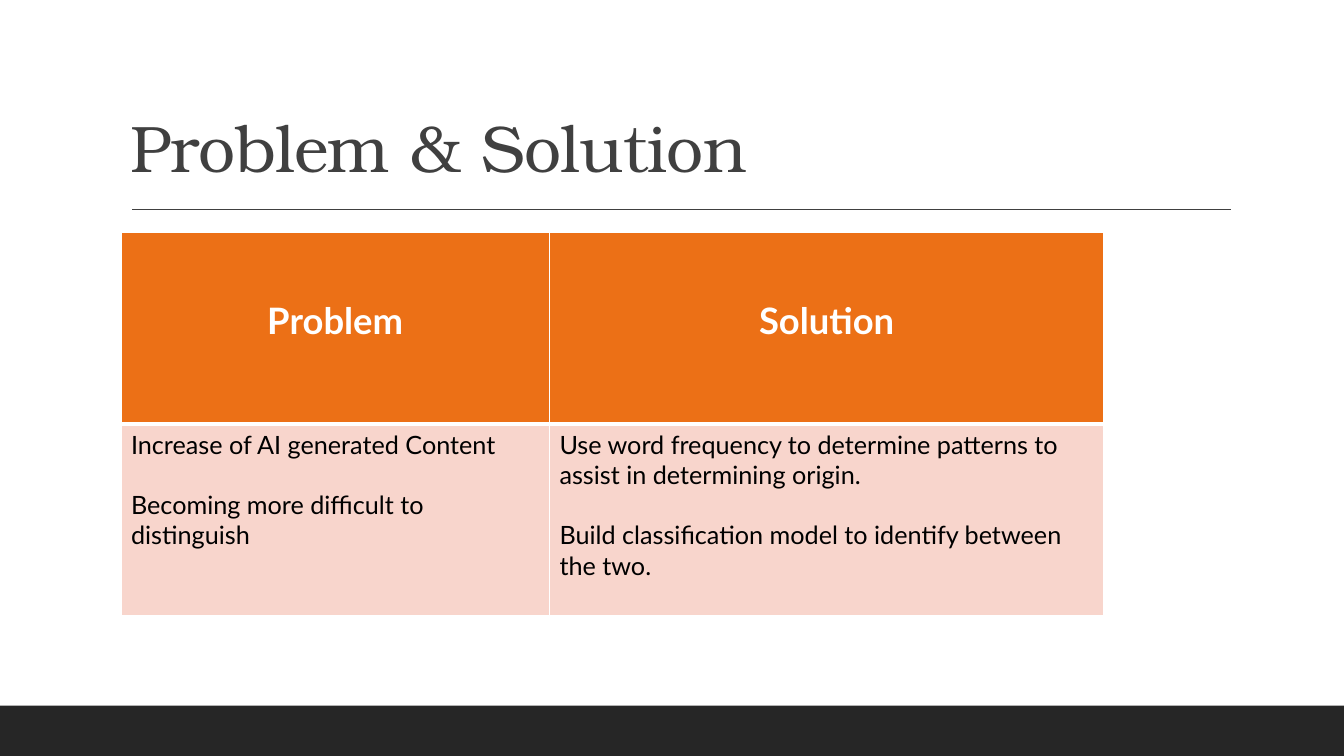
"""Build the Problem & Solution slide with its two-column table."""
from lxml.etree import SubElement
from pptx import Presentation
from pptx.dml.color import RGBColor
from pptx.enum.shapes import MSO_CONNECTOR, MSO_SHAPE
from pptx.enum.text import MSO_ANCHOR, PP_ALIGN
from pptx.oxml import parse_xml
from pptx.oxml.ns import nsdecls, qn
from pptx.util import Emu, Pt

TITLE = "Problem & Solution"
COLUMNS = [
    ("Problem", ["Increase of AI generated Content",
                 "Becoming more difficult to distinguish"]),
    ("Solution", ["Use word frequency to determine patterns to assist in determining origin.",
                  "Build classification model to identify between the two."]),
]

THEME = {
    "title_font": "TeX Gyre Bonum", "body_font": "Lato",
    "title_size": 47, "head_size": 26, "body_size": 18,
    "ink": "404040", "footer": "262626", "white": "FFFFFF", "black": "000000",
    "head_fill": "EC7016", "body_fill": "F8D5CC",
}

SLIDE_W, SLIDE_H = 1333, 750
FOOTER_H = 50
TITLE_BOX = (120, 31, 1100, 159)
RULE_LEFT, RULE_RIGHT, RULE_Y = 131, 1221, 208
TABLE_LEFT, TABLE_TOP = 120, 231
COLUMN_WIDTHS = [425, 550]
ROW_HEIGHT = 190
HEAD_MARGIN = 65
PARAGRAPH_GAP = 30
THIN, THICK = 1, 3


def px(length):
    return Emu(length * 9144)


def color(name):
    return RGBColor.from_string(THEME[name])


def style(paragraph, role, ink, bold=False):
    font = paragraph.runs[0].font
    font.name = THEME["title_font" if role == "title" else "body_font"]
    font.size = Pt(THEME[f"{role}_size"])
    font.color.rgb = color(ink)
    font.bold = bold


def fill_cell(cell, lines, role, ink, borders):
    is_head = role == "head"
    cell.fill.solid()
    cell.fill.fore_color.rgb = color(f"{role}_fill")
    if is_head:
        cell.margin_top = px(HEAD_MARGIN)
    cell.text_frame.text = "\n".join(lines)
    for index, paragraph in enumerate(cell.text_frame.paragraphs):
        paragraph.alignment = PP_ALIGN.CENTER if is_head else PP_ALIGN.LEFT
        if index:
            paragraph.space_before = px(PARAGRAPH_GAP)
        style(paragraph, role, ink, bold=is_head)
    properties = cell._tc.get_or_add_tcPr()
    for index, (side, width) in enumerate(borders.items()):
        properties.insert(index, parse_xml(
            f'<a:ln{side} {nsdecls("a")} w="{Pt(width)}"><a:solidFill>'
            f'<a:srgbClr val="{THEME["white"]}"/></a:solidFill></a:ln{side}>'))


def add_frame(slide):
    footer = slide.shapes.add_shape(
        MSO_SHAPE.RECTANGLE, 0, px(SLIDE_H - FOOTER_H), px(SLIDE_W), px(FOOTER_H))
    footer.shadow.inherit = False
    footer.fill.solid()
    footer.fill.fore_color.rgb = color("footer")
    footer.line.fill.background()

    rule = slide.shapes.add_connector(
        MSO_CONNECTOR.STRAIGHT, px(RULE_LEFT), px(RULE_Y), px(RULE_RIGHT), px(RULE_Y))
    rule.line.color.rgb = color("ink")
    rule.line.width = Pt(1)
    SubElement(rule._element.spPr, qn("a:effectLst"))


def add_title(slide):
    frame = slide.shapes.add_textbox(*map(px, TITLE_BOX)).text_frame
    frame.word_wrap = True
    frame.vertical_anchor = MSO_ANCHOR.BOTTOM
    frame.text = TITLE
    heading = frame.paragraphs[0]
    heading.line_spacing = 0.9
    style(heading, "title", "ink")
    heading.runs[0].font._element.set("spc", "-50")


def add_comparison(slide):
    table = slide.shapes.add_table(
        2, len(COLUMNS), px(TABLE_LEFT), px(TABLE_TOP),
        px(sum(COLUMN_WIDTHS)), px(2 * ROW_HEIGHT)).table
    for row in table.rows:
        row.height = px(ROW_HEIGHT)
    head_borders = {"L": THIN, "R": THIN, "T": THIN, "B": THICK}
    body_borders = {"L": THIN, "R": THIN, "T": THICK, "B": THIN}
    for index, (heading, points) in enumerate(COLUMNS):
        table.columns[index].width = px(COLUMN_WIDTHS[index])
        fill_cell(table.cell(0, index), [heading], "head", "white", head_borders)
        fill_cell(table.cell(1, index), points, "body", "black", body_borders)


def main():
    presentation = Presentation()
    presentation.slide_width, presentation.slide_height = px(SLIDE_W), px(SLIDE_H)
    slide = presentation.slides.add_slide(presentation.slide_layouts[6])
    add_frame(slide)
    add_title(slide)
    add_comparison(slide)
    presentation.save("out.pptx")


if __name__ == "__main__":
    main()
